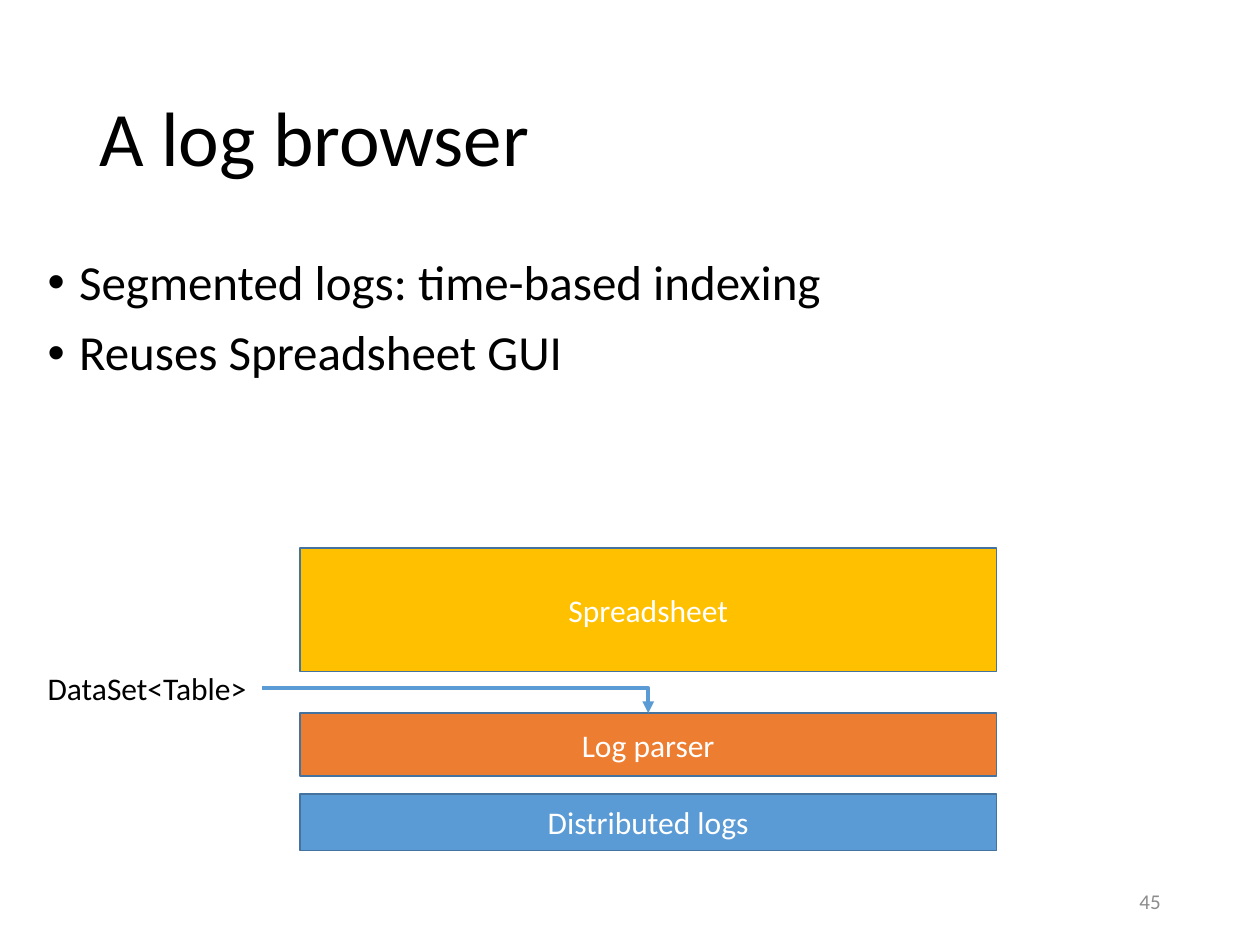
from lxml import etree
from pptx import Presentation
from pptx.dml.color import RGBColor
from pptx.enum.shapes import MSO_CONNECTOR, MSO_SHAPE
from pptx.enum.text import MSO_ANCHOR, PP_ALIGN
from pptx.oxml.ns import qn
from pptx.util import Inches, Pt

RECTANGLE = MSO_SHAPE.RECTANGLE
ELBOW = MSO_CONNECTOR.ELBOW
TOP, MIDDLE = MSO_ANCHOR.TOP, MSO_ANCHOR.MIDDLE
LEFT, CENTER, RIGHT = PP_ALIGN.LEFT, PP_ALIGN.CENTER, PP_ALIGN.RIGHT

BLACK = RGBColor(0x00, 0x00, 0x00)
WHITE = RGBColor(0xFF, 0xFF, 0xFF)
GRAY = RGBColor(0x8C, 0x8C, 0x8C)
BLUE = RGBColor(0x5B, 0x9B, 0xD5)
ORANGE = RGBColor(0xED, 0x7D, 0x31)
GOLD = RGBColor(0xFF, 0xC0, 0x00)
OUTLINE = RGBColor(0x43, 0x73, 0x9E)

FONT = "Calibri"
TOP_SIDE, RIGHT_SIDE = 0, 3


def style_paragraph(paragraph, size, color, alignment=LEFT):
    paragraph.alignment = alignment
    paragraph.font.name = FONT
    paragraph.font.size = Pt(size)
    paragraph.font.color.rgb = color


def add_text(slide, box, text, size, color=BLACK, alignment=LEFT, anchor=TOP, wrap=True):
    shape = slide.shapes.add_textbox(*map(Inches, box))
    frame = shape.text_frame
    frame.word_wrap = wrap
    frame.vertical_anchor = anchor
    paragraph = frame.paragraphs[0]
    paragraph.text = text
    style_paragraph(paragraph, size, color, alignment)
    return shape


def add_title(slide, box, text):
    title = add_text(slide, box, text, 44, anchor=MIDDLE)
    title.text_frame.paragraphs[0].line_spacing = 0.9


def add_bullets(slide, box, items):
    frame = slide.shapes.add_textbox(*map(Inches, box)).text_frame
    frame.word_wrap = True
    frame.text = "\n".join(items)
    for index, paragraph in enumerate(frame.paragraphs):
        paragraph.line_spacing = 0.9
        paragraph.space_before = Pt(10 if index else 0)
        properties = paragraph._p.get_or_add_pPr()
        properties.set("marL", str(Inches(0.25)))
        properties.set("indent", str(Inches(-0.25)))
        etree.SubElement(properties, qn("a:buFont"), typeface="Arial")
        etree.SubElement(properties, qn("a:buChar"), char="•")
        style_paragraph(paragraph, 28, BLACK)


def add_layer(slide, box, text, fill):
    layer = slide.shapes.add_shape(RECTANGLE, *map(Inches, box))
    layer.shadow.inherit = False
    layer.fill.solid()
    layer.fill.fore_color.rgb = fill
    layer.line.color.rgb = OUTLINE
    layer.line.width = Pt(1)
    frame = layer.text_frame
    frame.vertical_anchor = MIDDLE
    frame.text = text
    style_paragraph(frame.paragraphs[0], 18, WHITE, CENTER)
    return layer


def add_elbow_arrow(slide, source, target):
    arrow = slide.shapes.add_connector(ELBOW, 0, 0, 0, 0)
    arrow.begin_connect(source, RIGHT_SIDE)
    arrow.end_connect(target, TOP_SIDE)
    arrow.line.color.rgb = BLUE
    arrow.line.width = Pt(2.25)
    properties = arrow._element.spPr
    properties.find(qn("a:prstGeom")).set("prst", "bentConnector2")
    etree.SubElement(arrow.line._get_or_add_ln(), qn("a:tailEnd"), type="triangle")
    etree.SubElement(properties, qn("a:effectLst"))


def add_stack(slide, box):
    left, top, width, height = box
    stack_left, stack_width = left + 2.1, width - 2.1
    layers = [
        ("Spreadsheet", GOLD, 0, 0.98),
        ("Log parser", ORANGE, 1.31, 0.5),
        ("Distributed logs", BLUE, height - 0.45, 0.45),
    ]
    shapes = {
        text: add_layer(slide, (stack_left, top + offset, stack_width, layer_height), text, fill)
        for text, fill, offset, layer_height in layers
    }
    label = add_text(slide, (left, top + 0.91, 1.8, 0.4), "DataSet<Table>", 18, wrap=False)
    add_elbow_arrow(slide, label, shapes["Log parser"])


def main():
    presentation = Presentation()
    presentation.slide_width = Inches(10)
    presentation.slide_height = Inches(7.5)
    slide = presentation.slides.add_slide(presentation.slide_layouts[6])
    add_title(slide, (0.69, 0.4, 8.62, 1.45), "A log browser")
    add_bullets(
        slide,
        (0.28, 2, 9.58, 2.2),
        ["Segmented logs: time-based indexing", "Reuses Spreadsheet GUI"],
    )
    add_stack(slide, (0.28, 4.35, 7.63, 2.4))
    add_text(slide, (7.06, 6.95, 2.25, 0.4), "45", 12, GRAY, RIGHT, MIDDLE)
    presentation.save("out.pptx")


if __name__ == "__main__":
    main()
